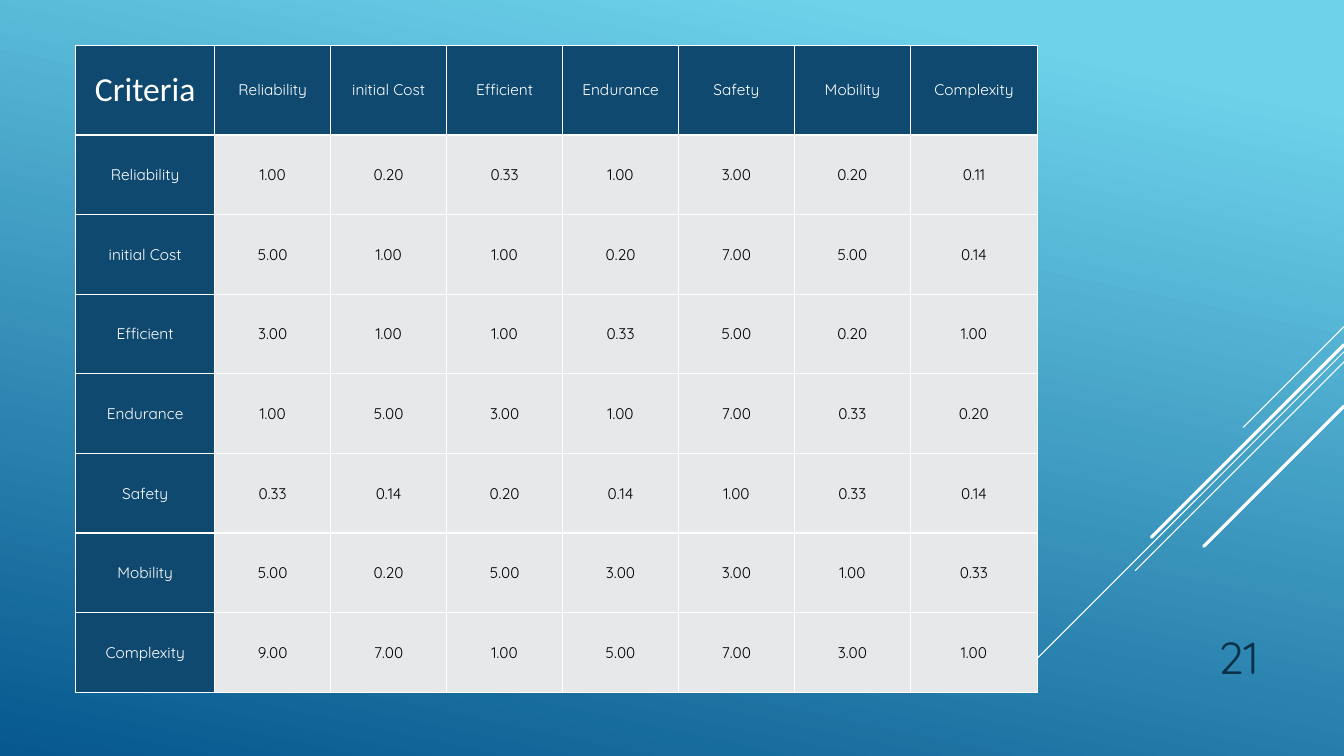
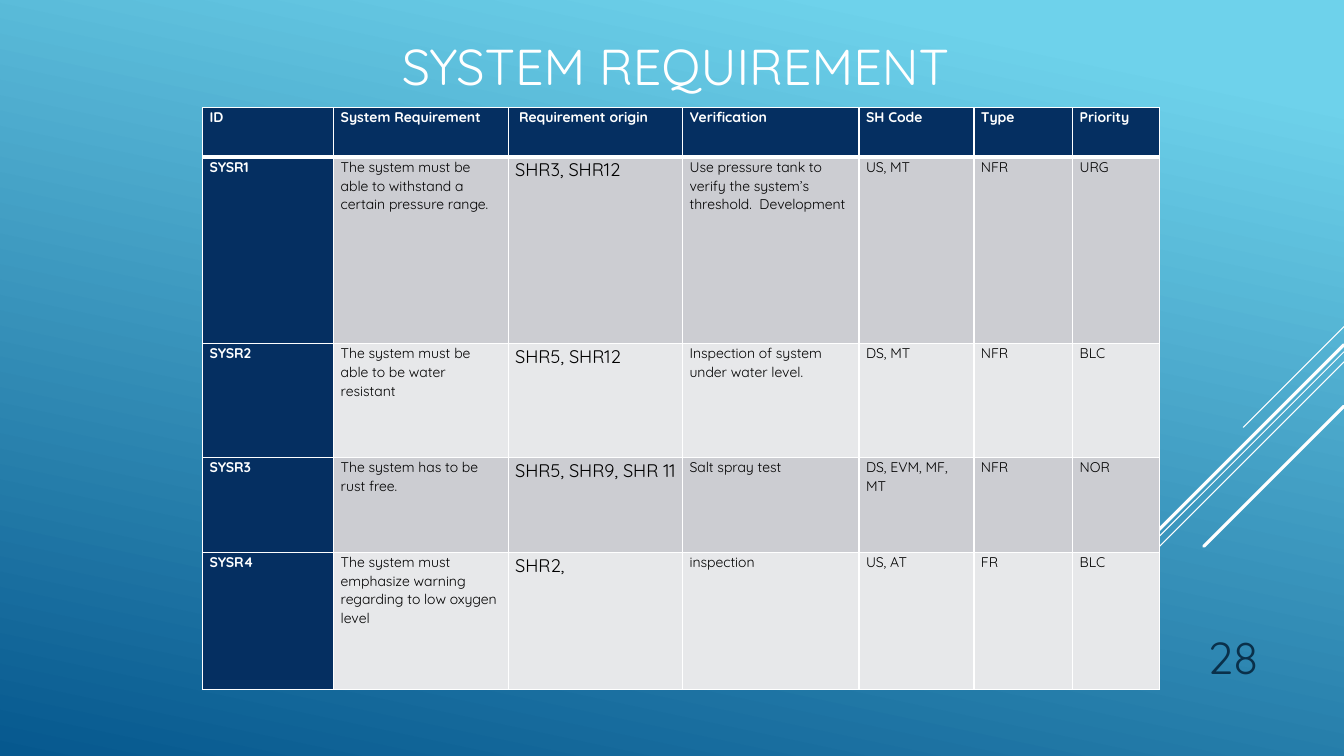
"""Build two table slides on a shared blue gradient with slanted lines."""
from dataclasses import dataclass
from typing import Callable, Optional

from lxml.etree import SubElement
from pptx import Presentation
from pptx.dml.color import RGBColor
from pptx.enum.shapes import MSO_CONNECTOR
from pptx.enum.text import MSO_ANCHOR as Anchor, MSO_AUTO_SIZE, PP_ALIGN as Align
from pptx.oxml import parse_xml
from pptx.oxml.ns import nsdecls, qn
from pptx.util import Inches, Pt


@dataclass(frozen=True)
class Theme:
    font: str = "Quicksand"
    corner_font: str = "Calibri"
    white: str = "FFFFFF"
    black: str = "000000"
    sky: str = "6ED2EB"
    ocean: str = "06588E"
    number: str = "0A304A"
    criteria: str = "0F496F"
    navy: str = "052F61"
    light: str = "E7E8EA"
    grey: str = "CCCDD2"
    title_size: int = 36
    number_size: int = 32
    corner_size: int = 24
    origin_size: int = 13
    matrix_size: int = 11
    requirement_size: int = 10


THEME = Theme()


@dataclass(frozen=True)
class Slant:
    """A 45 degree line from the right edge, down and to the left."""
    top: float
    run: float
    weight: float = 0.75


@dataclass(frozen=True)
class CellStyle:
    fill: str
    color: str
    size: float
    font: str = THEME.font
    bold: bool = False


@dataclass(frozen=True)
class TableSpec:
    left: float
    top: float
    columns: list[float]
    rows: list[float]
    texts: list[list[str]]
    style: Callable[[int, int], CellStyle]
    anchor: Anchor = Anchor.TOP
    align: Align = Align.LEFT
    side_margin: float = 0.07
    line_spacing: Optional[float] = None
    space_after: float = 0
    header_rule: float = 1


SLIDE_WIDTH, SLIDE_HEIGHT = 13.33, 7.5
SLANTS = [
    Slant(3.24, 1.0),
    Slant(3.49, 3.26),
    Slant(3.59, 2.07),
    Slant(3.42, 1.91, 2.25),
    Slant(4.03, 1.39, 2.25),
]

CRITERIA = ["Reliability", "initial Cost", "Efficient", "Endurance",
            "Safety", "Mobility", "Complexity"]
RATINGS = [
    [1, 0.2, 0.33, 1, 3, 0.2, 0.11],
    [5, 1, 1, 0.2, 7, 5, 0.14],
    [3, 1, 1, 0.33, 5, 0.2, 1],
    [1, 5, 3, 1, 7, 0.33, 0.2],
    [0.33, 0.14, 0.2, 0.14, 1, 0.33, 0.14],
    [5, 0.2, 5, 3, 3, 1, 0.33],
    [9, 7, 1, 5, 7, 3, 1],
]
REQUIREMENTS = [
    ["ID", "System Requirement", " Requirement origin", "Verification",
     "SH Code", "Type", "Priority"],
    ["SYSR1", "The system must be able to withstand a certain pressure range.",
     "SHR3, SHR12",
     "Use pressure tank to verify the system’s threshold.  Development",
     "US, MT", "NFR", "URG"],
    ["SYSR2", "The system must be able to be water resistant", "SHR5, SHR12",
     "Inspection of system under water level.", "DS, MT", "NFR", "BLC"],
    ["SYSR3", "The system has to be rust free.", "SHR5, SHR9, SHR 11",
     "Salt spray test", "DS, EVM, MF, MT", "NFR", "NOR"],
    ["SYSR4", "The system must emphasize warning regarding to low oxygen level",
     "SHR2,", "inspection", "US, AT", "FR", "BLC"],
]


def write(frame, text: str, *, size: float, color: str, font: str = THEME.font,
          bold: bool = False, align: Align = Align.LEFT,
          line_spacing: Optional[float] = None, space_after: float = 0) -> None:
    frame.word_wrap = True
    paragraph = frame.paragraphs[0]
    paragraph.alignment = align
    paragraph.space_after = Pt(space_after)
    if line_spacing:
        paragraph.line_spacing = line_spacing
    run = paragraph.add_run()
    run.text = text
    run.font.name = font
    run.font.size = Pt(size)
    run.font.bold = bold
    run.font.color.rgb = RGBColor.from_string(color)


def paint_background(presentation) -> None:
    fill = presentation.slide_master.background.fill
    fill.gradient()
    fill.gradient_angle = 360 - 102
    stops = [(0.1, THEME.sky), (1.0, THEME.ocean)]
    for stop, (position, color) in zip(fill.gradient_stops, stops):
        stop.position = position
        stop.color.rgb = RGBColor.from_string(color)


def add_slant(slide, slant: Slant) -> None:
    connector = slide.shapes.add_connector(
        MSO_CONNECTOR.STRAIGHT, Inches(SLIDE_WIDTH), Inches(slant.top),
        Inches(SLIDE_WIDTH - slant.run), Inches(slant.top + slant.run))
    connector.line.color.rgb = RGBColor.from_string(THEME.white)
    connector.line.width = Pt(slant.weight)
    properties = connector._element.spPr
    properties.find(qn("a:ln")).set("cap", "rnd")
    SubElement(properties, qn("a:effectLst"))


def add_number(slide, number: int) -> None:
    box = slide.shapes.add_textbox(Inches(11.33), Inches(6.1), Inches(1.25), Inches(0.73))
    box.text_frame.vertical_anchor = Anchor.BOTTOM
    write(box.text_frame, str(number), size=THEME.number_size, color=THEME.number,
          align=Align.RIGHT)


def add_title(slide, text: str) -> None:
    title = slide.shapes.title
    title.left, title.top = Inches(0.2), Inches(0.25)
    title.width, title.height = Inches(13), Inches(0.8)
    title.text_frame.auto_size = MSO_AUTO_SIZE.NONE
    title.text_frame.vertical_anchor = Anchor.MIDDLE
    write(title.text_frame, text, size=THEME.title_size, color=THEME.white,
          align=Align.CENTER)


def add_slide(presentation, number: int, title: str = ""):
    layout = presentation.slide_layouts.get_by_name("Title Only" if title else "Blank")
    slide = presentation.slides.add_slide(layout)
    for slant in SLANTS:
        add_slant(slide, slant)
    if title:
        add_title(slide, title)
    add_number(slide, number)
    return slide


def set_borders(cell, top: float, bottom: float) -> None:
    properties = cell._tc.get_or_add_tcPr()
    weights = {"lnL": 1, "lnR": 1, "lnT": top, "lnB": bottom}
    for index, (tag, weight) in enumerate(weights.items()):
        properties.insert(index, parse_xml(
            f'<a:{tag} {nsdecls("a")} w="{Pt(weight)}"><a:solidFill>'
            f'<a:srgbClr val="{THEME.white}"/></a:solidFill></a:{tag}>'))


def fill_cell(cell, text: str, style: CellStyle, spec: TableSpec) -> None:
    cell.fill.solid()
    cell.fill.fore_color.rgb = RGBColor.from_string(style.fill)
    cell.vertical_anchor = spec.anchor
    cell.margin_left = cell.margin_right = Inches(spec.side_margin)
    cell.margin_top = cell.margin_bottom = 0
    write(cell.text_frame, text, size=style.size, color=style.color, font=style.font,
          bold=style.bold, align=spec.align, line_spacing=spec.line_spacing,
          space_after=spec.space_after)


def add_table(slide, spec: TableSpec) -> None:
    table = slide.shapes.add_table(
        len(spec.rows), len(spec.columns), Inches(spec.left), Inches(spec.top),
        Inches(sum(spec.columns)), Inches(sum(spec.rows))).table
    table.first_row = table.horz_banding = False
    for column, width in zip(table.columns, spec.columns):
        column.width = Inches(width)
    for row, height in zip(table.rows, spec.rows):
        row.height = Inches(height)
    for row, texts in enumerate(spec.texts):
        for column, text in enumerate(texts):
            cell = table.cell(row, column)
            fill_cell(cell, text, spec.style(row, column), spec)
            set_borders(cell, top=spec.header_rule if row == 1 else 1,
                        bottom=spec.header_rule if row == 0 else 1)


def matrix_style(row: int, column: int) -> CellStyle:
    if row == column == 0:
        return CellStyle(THEME.criteria, THEME.white, THEME.corner_size, THEME.corner_font)
    if row == 0 or column == 0:
        return CellStyle(THEME.criteria, THEME.white, THEME.matrix_size)
    return CellStyle(THEME.light, THEME.black, THEME.matrix_size)


def requirement_style(row: int, column: int) -> CellStyle:
    if row == 0 or column == 0:
        return CellStyle(THEME.navy, THEME.white, THEME.requirement_size, bold=True)
    size = THEME.origin_size if column == 2 else THEME.requirement_size
    return CellStyle(THEME.grey if row % 2 else THEME.light, THEME.black, size)


def matrix_table() -> TableSpec:
    body = [[name, *(f"{rating:.2f}" for rating in ratings)]
            for name, ratings in zip(CRITERIA, RATINGS)]
    return TableSpec(
        left=0.75, top=0.45, columns=[1.38, *[1.15] * 6, 1.26], rows=[0.89, *[0.79] * 7],
        texts=[["Criteria", *CRITERIA], *body], style=matrix_style,
        anchor=Anchor.MIDDLE, align=Align.CENTER, side_margin=0.01)


def requirement_table() -> TableSpec:
    return TableSpec(
        left=2.01, top=1.07, columns=[1.3, 1.73, 1.73, 1.75, 1.14, 0.98, 0.86],
        rows=[0.49, 1.85, 1.13, 0.94, 1.36], texts=REQUIREMENTS,
        style=requirement_style, line_spacing=1.07, space_after=8, header_rule=3)


def main() -> None:
    presentation = Presentation()
    presentation.slide_width = Inches(SLIDE_WIDTH)
    presentation.slide_height = Inches(SLIDE_HEIGHT)
    paint_background(presentation)
    add_table(add_slide(presentation, 21), matrix_table())
    add_table(add_slide(presentation, 28, "SYSTEM REQUIREMENT"), requirement_table())
    presentation.save("out.pptx")


if __name__ == "__main__":
    main()
